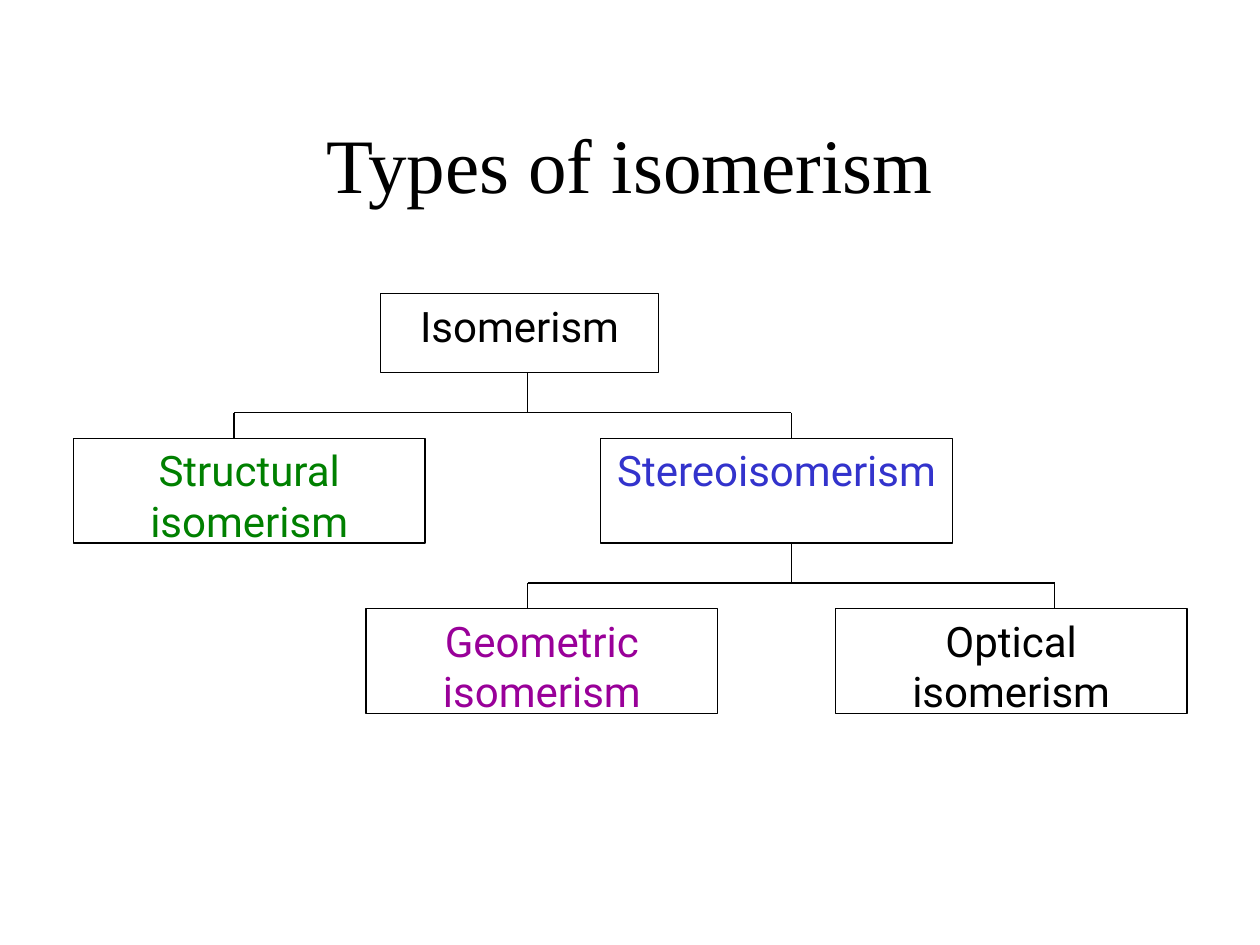
from dataclasses import dataclass

from lxml.etree import SubElement
from pptx import Presentation
from pptx.dml.color import RGBColor
from pptx.enum.shapes import MSO_CONNECTOR as Connector, MSO_SHAPE as Shape
from pptx.enum.text import MSO_ANCHOR as Anchor, PP_ALIGN as Align
from pptx.oxml.ns import qn
from pptx.util import Cm, Pt


@dataclass(frozen=True)
class Theme:
    black: str = "000000"
    white: str = "FFFFFF"
    green: str = "008000"
    blue: str = "3333CC"
    purple: str = "990099"
    title_font: str = "Times New Roman"
    label_font: str = "Roboto"
    title_size: float = 44
    label_size: float = 24
    line_width: float = 0.75


class TreeSlide:
    def __init__(self, deck, theme):
        self.theme = theme
        self.page = deck.slides.add_slide(deck.slide_layouts[6])

    def set_text(self, shape, text, font, size, color, anchor):
        frame = shape.text_frame
        frame_format = {
            "word_wrap": True, "vertical_anchor": anchor,
            "margin_left": Cm(0.25), "margin_right": Cm(0.25),
            "margin_top": Cm(0.13), "margin_bottom": Cm(0.13),
        }
        for name, value in frame_format.items():
            setattr(frame, name, value)
        para = frame.paragraphs[0]
        para.alignment = Align.CENTER
        span = para.add_run()
        span.text = text
        for name, value in {"name": font, "size": Pt(size)}.items():
            setattr(span.font, name, value)
        span.font.color.rgb = RGBColor.from_string(color)

    def stroke(self, line):
        line.color.rgb = RGBColor.from_string(self.theme.black)
        line.width = Pt(self.theme.line_width)

    def title(self, text, left, top, width, height):
        box = self.page.shapes.add_textbox(Cm(left), Cm(top), Cm(width), Cm(height))
        theme = self.theme
        self.set_text(box, text, theme.title_font, theme.title_size, theme.black, Anchor.MIDDLE)

    def node(self, text, color, left, top, width, height):
        box = self.page.shapes.add_shape(
            Shape.RECTANGLE, Cm(left), Cm(top), Cm(width), Cm(height))
        box.shadow.inherit = False
        box.fill.solid()
        box.fill.fore_color.rgb = RGBColor.from_string(self.theme.white)
        self.stroke(box.line)
        theme = self.theme
        self.set_text(box, text, theme.label_font, theme.label_size, color, Anchor.TOP)

    def line(self, x1, y1, x2, y2):
        link = self.page.shapes.add_connector(
            Connector.STRAIGHT, Cm(x1), Cm(y1), Cm(x2), Cm(y2))
        self.stroke(link.line)
        SubElement(link._element.spPr, qn("a:effectLst"))

    def branch(self, parent_x, child_xs, parent_bottom, bar_y, child_top):
        """Join a parent box to its children through a horizontal bar."""
        self.line(child_xs[0], bar_y, child_xs[-1], bar_y)
        self.line(parent_x, parent_bottom, parent_x, bar_y)
        for x in child_xs:
            self.line(x, bar_y, x, child_top)


def main():
    deck = Presentation()
    deck.slide_width, deck.slide_height = Cm(25.4), Cm(19.05)
    theme = Theme()
    slide = TreeSlide(deck, theme)
    slide.title("Types of isomerism", 1.9, 1.7, 21.6, 3.18)

    root_top, root_height = 5.92, 1.59
    kinds_top, forms_top = 8.84, 12.27
    width, height = 7.09, 2.11
    bar_gap = 0.52

    slide.node("Isomerism", theme.black, 7.67, root_top, 5.61, root_height)
    for text, color, left, top in (
        ("Structural isomerism", theme.green, 1.48, kinds_top),
        ("Stereoisomerism", theme.blue, 12.11, kinds_top),
        ("Geometric isomerism", theme.purple, 7.38, forms_top),
        ("Optical isomerism", theme.black, 16.84, forms_top),
    ):
        slide.node(text, color, left, top, width, height)

    root_x, stereo_x = 10.64, 15.95
    slide.branch(root_x, (4.72, stereo_x), root_top + root_height,
                 kinds_top - bar_gap, kinds_top)
    slide.branch(stereo_x, (root_x, 21.26), kinds_top + height,
                 forms_top - bar_gap, forms_top)

    deck.save("out.pptx")


if __name__ == "__main__":
    main()
